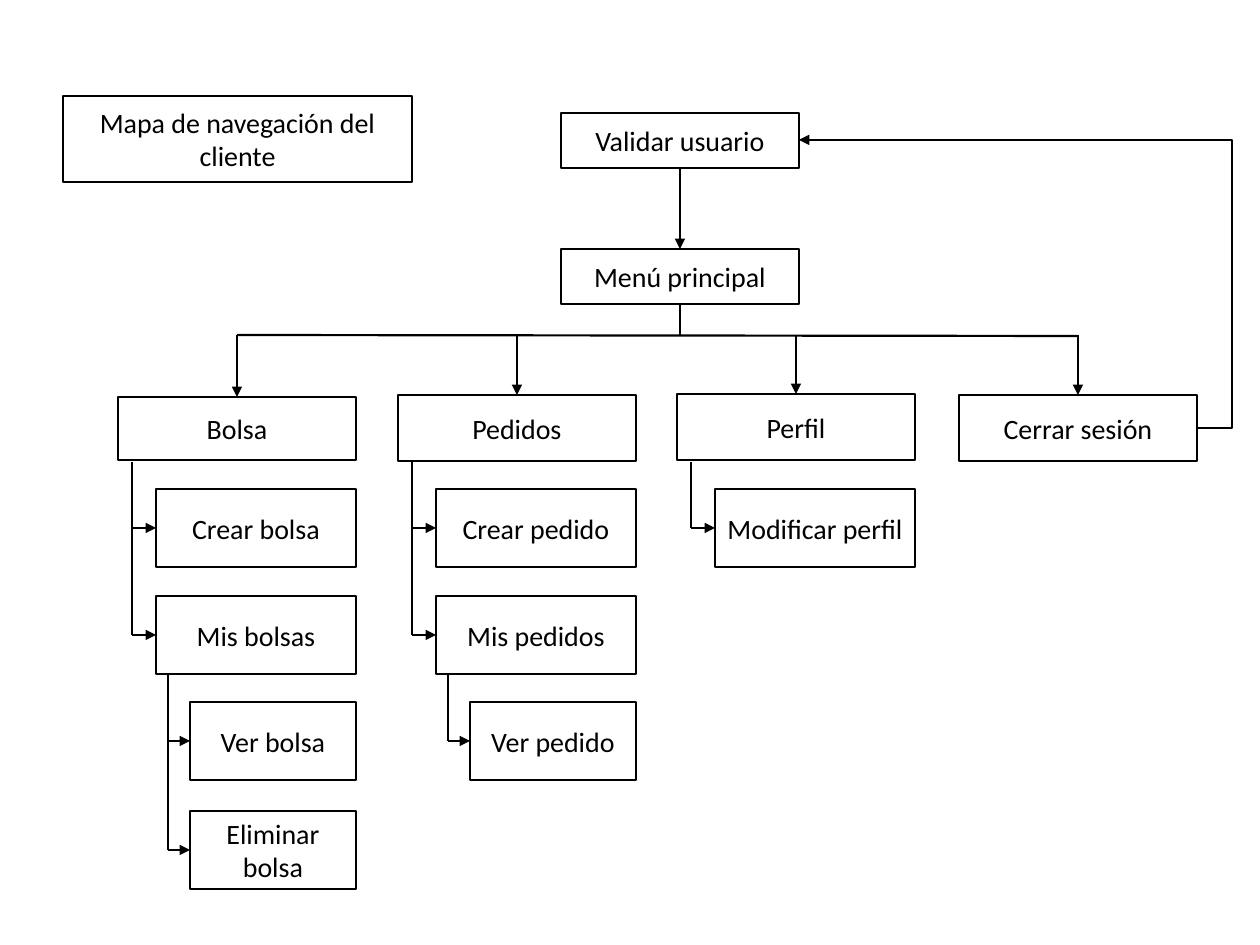
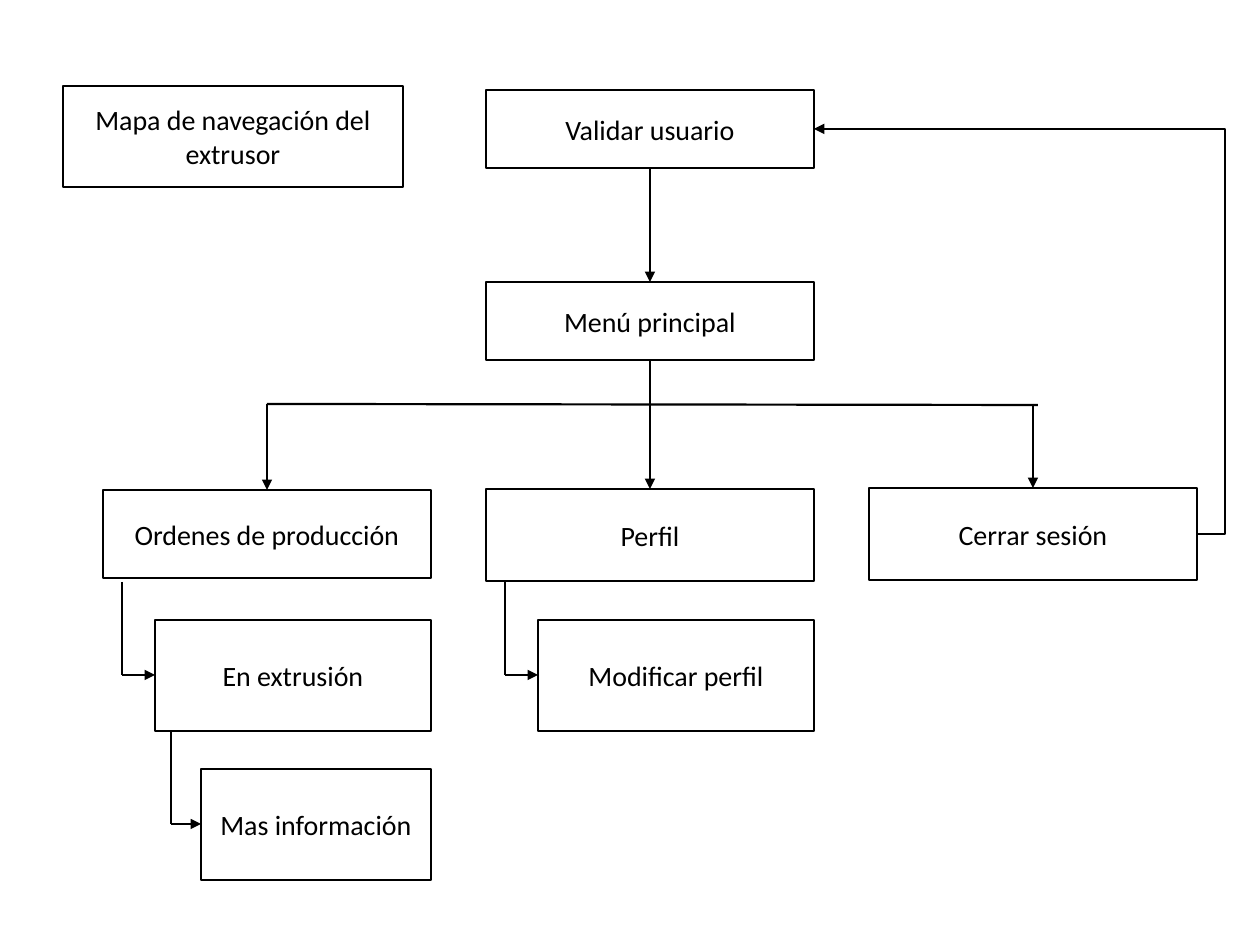
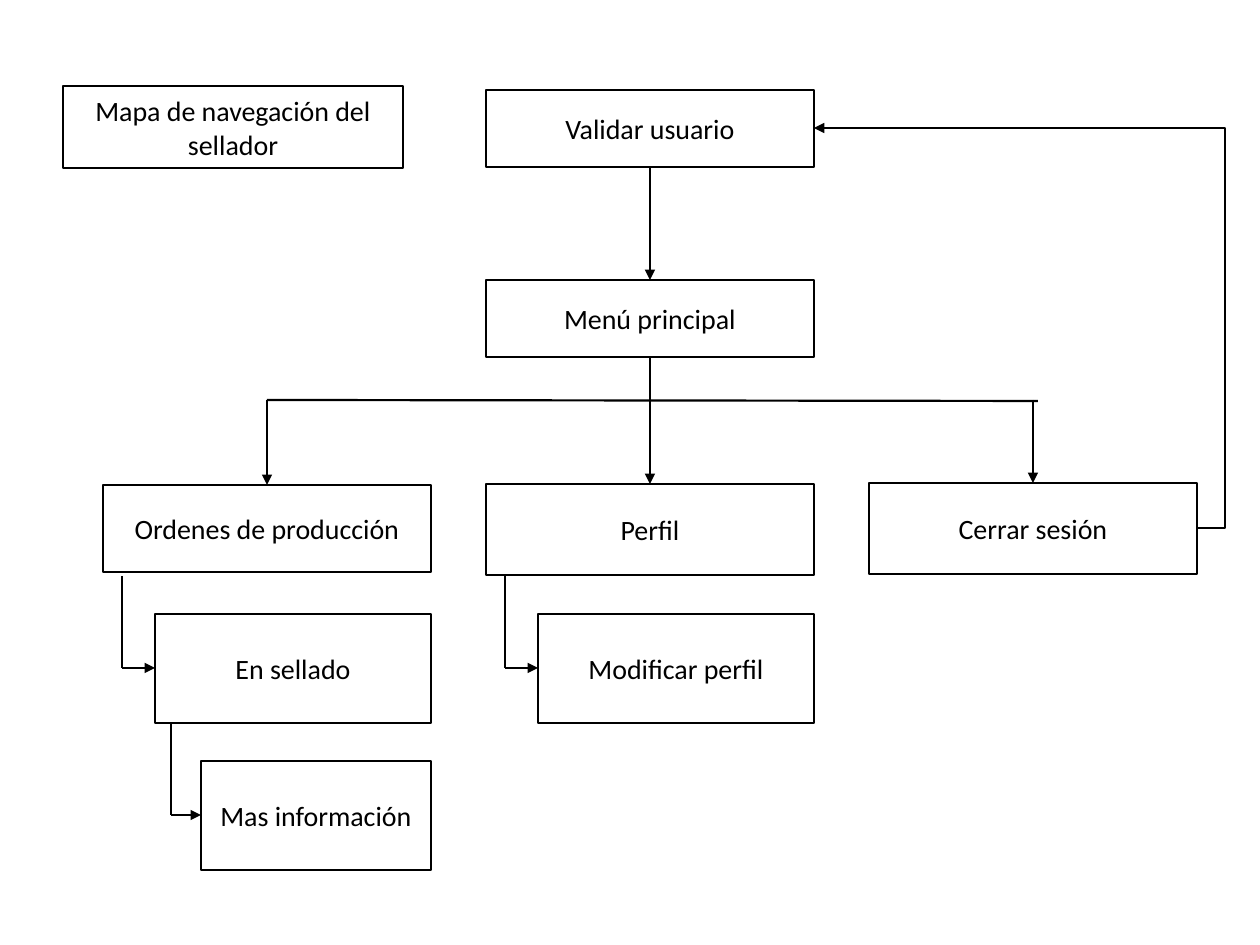
from dataclasses import dataclass

from lxml.etree import SubElement
from pptx import Presentation
from pptx.dml.color import RGBColor
from pptx.enum.shapes import MSO_CONNECTOR, MSO_SHAPE
from pptx.enum.text import MSO_ANCHOR, PP_ALIGN
from pptx.oxml.ns import qn
from pptx.util import Emu, Pt

PIXEL = 914400 // 126
INK = "000000"
BOX_LINE = {"width": Pt(1.5)}
ARROW_LINE = {"width": Pt(1.25)}
FRAME_FORMAT = {
    "word_wrap": True,
    "vertical_anchor": MSO_ANCHOR.MIDDLE,
    "margin_left": 8 * PIXEL,
    "margin_right": 8 * PIXEL,
    "margin_top": 4 * PIXEL,
    "margin_bottom": 4 * PIXEL,
}
LABEL_FONT = {"name": "Calibri", "size": Pt(16)}


@dataclass
class Box:
    left: int
    top: int
    width: int
    height: int

    @property
    def right(self):
        return self.left + self.width

    @property
    def bottom(self):
        return self.top + self.height

    @property
    def center(self):
        return self.left + self.width // 2

    @property
    def middle(self):
        return self.top + self.height // 2


@dataclass
class Branch:
    label: str
    box: Box
    pages: tuple = ()


@dataclass
class NavigationMap:
    title: str
    title_box: Box
    login_box: Box
    menu_box: Box
    bar_top: int
    bar_overhang: int
    branches: list
    stem_top: int
    stem_insets: tuple
    row_tops: tuple
    page_widths: tuple
    page_height: int
    return_right: int


def px(value):
    return Emu(value * PIXEL)


def color(hex_code):
    return RGBColor.from_string(hex_code)


def set_format(target, values):
    for attribute, value in values.items():
        setattr(target, attribute, value)


def draw_node(shapes, label, box):
    node = shapes.add_shape(
        MSO_SHAPE.RECTANGLE, px(box.left), px(box.top), px(box.width), px(box.height)
    )
    node.shadow.inherit = False
    node.fill.background()
    node.line.color.rgb = color(INK)
    set_format(node.line, BOX_LINE)
    set_format(node.text_frame, FRAME_FORMAT)
    paragraph = node.text_frame.paragraphs[0]
    paragraph.alignment = PP_ALIGN.CENTER
    run = paragraph.add_run()
    run.text = label
    set_format(run.font, LABEL_FONT)
    run.font.color.rgb = color(INK)


def draw_link(shapes, start, end, arrow=False, kind=MSO_CONNECTOR.STRAIGHT):
    link = shapes.add_connector(kind, *map(px, start + end))
    link.line.color.rgb = color(INK)
    set_format(link.line, ARROW_LINE)
    if arrow:
        SubElement(link.line._get_or_add_ln(), qn("a:tailEnd"), type="triangle")
    SubElement(link._element.spPr, qn("a:effectLst"))
    return link


def draw_entry(shapes, login, menu, bar_top):
    draw_node(shapes, "Menú principal", menu)
    draw_node(shapes, "Validar usuario", login)
    draw_link(shapes, (login.center, login.bottom), (menu.center, menu.top), arrow=True)
    draw_link(shapes, (menu.center, menu.bottom), (menu.center, bar_top + 1))


def draw_bar(shapes, boxes, bar_top, overhang):
    draw_link(
        shapes,
        (boxes[0].center, bar_top),
        (boxes[-1].center + overhang, bar_top + 1),
    )
    for box in boxes:
        draw_link(shapes, (box.center, bar_top), (box.center, box.top), arrow=True)


def draw_return(shapes, logout, login, return_right):
    start = (logout.right, logout.middle)
    end = (login.right, login.middle)
    link = draw_link(shapes, start, end, arrow=True, kind=MSO_CONNECTOR.ELBOW)
    bend = (return_right - start[0]) / (end[0] - start[0])
    adjustments = link._element.spPr.find(qn("a:prstGeom")).find(qn("a:avLst"))
    SubElement(
        adjustments, qn("a:gd"), name="adj1", fmla=f"val {round(bend * 100000)}"
    )


def draw_stem(shapes, left, top, pages):
    draw_link(shapes, (left, top), (left, pages[-1].middle))
    for page in pages:
        draw_link(shapes, (left, page.middle), (page.left, page.middle), arrow=True)


def draw_branch(shapes, branch, layout):
    draw_node(shapes, branch.label, branch.box)
    levels = ([], [])
    for (label, level), top in zip(branch.pages, layout.row_tops):
        width = layout.page_widths[level]
        page = Box(branch.box.right - width, top, width, layout.page_height)
        draw_node(shapes, label, page)
        levels[level].append(page)
    sections, details = levels
    if sections:
        left = branch.box.left + layout.stem_insets[0]
        draw_stem(shapes, left, layout.stem_top, sections)
    if details:
        left = sections[-1].left + layout.stem_insets[1]
        draw_stem(shapes, left, sections[-1].bottom, details)


def draw_map(shapes, layout):
    boxes = [branch.box for branch in layout.branches]
    draw_entry(shapes, layout.login_box, layout.menu_box, layout.bar_top)
    for branch in layout.branches:
        draw_branch(shapes, branch, layout)
    draw_bar(shapes, boxes, layout.bar_top, layout.bar_overhang)
    draw_return(shapes, boxes[-1], layout.login_box, layout.return_right)
    draw_node(shapes, f"Mapa de navegación del {layout.title}", layout.title_box)


def client_map():
    bag_pages = (
        ("Crear bolsa", 0),
        ("Mis bolsas", 0),
        ("Ver bolsa", 1),
        ("Eliminar bolsa", 1),
    )
    order_pages = (("Crear pedido", 0), ("Mis pedidos", 0), ("Ver pedido", 1))
    return NavigationMap(
        title="cliente",
        title_box=Box(63, 96, 349, 86),
        login_box=Box(561, 113, 238, 55),
        menu_box=Box(561, 249, 238, 55),
        bar_top=335,
        bar_overhang=0,
        branches=[
            Branch("Bolsa", Box(118, 397, 238, 63), bag_pages),
            Branch("Pedidos", Box(398, 395, 238, 66), order_pages),
            Branch("Perfil", Box(677, 394, 238, 66), (("Modificar perfil", 0),)),
            Branch("Cerrar sesión", Box(959, 395, 238, 66)),
        ],
        stem_top=462,
        stem_insets=(14, 12),
        row_tops=(489, 596, 702, 811),
        page_widths=(200, 166),
        page_height=78,
        return_right=1232,
    )


def worker_map(title, section, title_height, entry_height, menu_top, bar_top,
               branch_top, branch_height, stem_top, row_tops, page_height):
    order_pages = ((section, 0), ("Mas información", 1))
    orders = Box(103, branch_top + 2, 328, branch_height - 4)
    profile = Box(486, branch_top + 1, 328, branch_height)
    logout = Box(869, branch_top, 328, branch_height)
    return NavigationMap(
        title=title,
        title_box=Box(63, 86, 340, title_height),
        login_box=Box(486, 90, 328, entry_height),
        menu_box=Box(486, menu_top, 328, entry_height),
        bar_top=bar_top,
        bar_overhang=5,
        branches=[
            Branch("Ordenes de producción", orders, order_pages),
            Branch("Perfil", profile, (("Modificar perfil", 0),)),
            Branch("Cerrar sesión", logout),
        ],
        stem_top=stem_top,
        stem_insets=(19, 16),
        row_tops=row_tops,
        page_widths=(276, 230),
        page_height=page_height,
        return_right=1225,
    )


extruder_map = worker_map(
    "extrusor", "En extrusión", title_height=101, entry_height=78, menu_top=282,
    bar_top=404, branch_top=488, branch_height=92, stem_top=582,
    row_tops=(620, 769), page_height=111,
)
sealer_map = worker_map(
    "sellador", "En sellado", title_height=82, entry_height=77, menu_top=280,
    bar_top=400, branch_top=483, branch_height=91, stem_top=576,
    row_tops=(614, 761), page_height=109,
)

presentation = Presentation()
presentation.slide_width = px(1260)
presentation.slide_height = px(945)
for navigation in (client_map(), extruder_map, sealer_map):
    slide = presentation.slides.add_slide(presentation.slide_layouts[6])
    draw_map(slide.shapes, navigation)
presentation.save("out.pptx")
